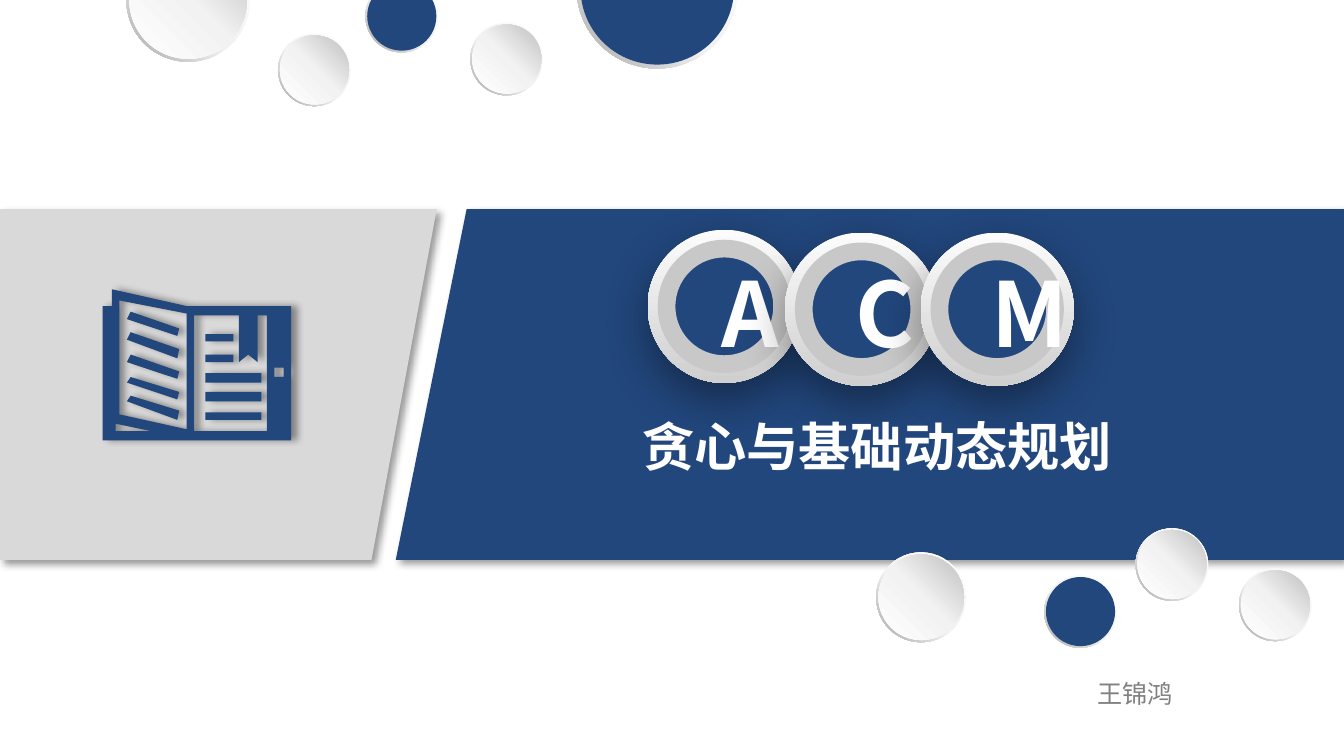
"""Build the title slide on greedy methods and basic dynamic programming."""
from dataclasses import dataclass
from typing import Any

import lxml.etree
import pptx
import pptx.dml.color
import pptx.enum.shapes
import pptx.enum.text
import pptx.oxml.ns
import pptx.util

Pt = pptx.util.Pt
RGB = pptx.dml.color.RGBColor
Kind = pptx.enum.shapes.MSO_SHAPE
Align = pptx.enum.text.PP_ALIGN
Anchor = pptx.enum.text.MSO_ANCHOR
Fit = pptx.enum.text.MSO_AUTO_SIZE
qn = pptx.oxml.ns.qn

BLUE = RGB(0x22, 0x47, 0x7D)
GRAY = RGB(0xD9, 0xD9, 0xD9)
RIM = RGB(0xC8, 0xC8, 0xC8)
WHITE = RGB(0xFF, 0xFF, 0xFF)
NAME = RGB(0x80, 0x80, 0x80)
BLACK = RGB(0, 0, 0)
SNOW = RGB(0xFC, 0xFC, 0xFC)
STEEL = RGB(0xCF, 0xCF, 0xCF)
PALE = RGB(0xF2, 0xF2, 0xF2)
SILVER = RGB(0xBF, 0xBF, 0xBF)
DARK = RGB(0xA6, 0xA6, 0xA6)
FONT = "Noto Sans CJK SC"

Path = list[tuple[float, float]]


@dataclass
class Blend:
    stops: list[tuple[int, RGB]]
    angle: int


@dataclass
class Shade:
    blur: float
    dist: float
    angle: int


@dataclass
class Bead:
    left: float
    top: float
    size: float
    blue: bool = False


@dataclass
class Medal:
    text: str
    left: float
    top: float
    inset: float


@dataclass
class Label:
    text: str
    box: tuple[float, float, float, float]
    size: float
    color: RGB
    bold: bool = True
    pad: tuple[float, float] = (7.2, 3.6)
    anchor: Any = Anchor.TOP
    grow: bool = True


METAL = Blend([(0, SNOW), (100, STEEL)], 90)
EDGE = Blend([(0, WHITE), (55, PALE), (100, DARK)], 135)
PEARL = Blend([(0, WHITE), (51, PALE), (100, SILVER)], 315)
SOFT = Shade(4, 3, 45)
FLAT = Shade(4, 3, 0)
DEEP = Shade(25, 9, 90)

MEDALS = [
    Medal("A", 347, 123.1, 32.4),
    Medal("C", 420.5, 124.6, 30.9),
    Medal("M", 493.2, 124.6, 31),
]
BEADS = [
    Bead(67.7, -33.1, 66.2),
    Bead(149, 18, 38.9),
    Bead(195.8, -10.8, 38.9, True),
    Bead(252, 12.2, 38.9),
    Bead(308.9, -49.7, 86.4, True),
    Bead(469.4, 295.9, 48.2),
    Bead(608.4, 283, 38.9),
    Bead(559.4, 308.2, 38.9, True),
    Bead(663.8, 304.6, 38.9),
]


def tag(node: Any, name: str, **attrs: Any) -> Any:
    """Append a drawing element with the given attributes."""
    return lxml.etree.SubElement(
        node, qn(f"a:{name}"), {k: str(v) for k, v in attrs.items()})


def paint(shape: Any, fill: RGB | Blend, shade: Shade | None = None) -> None:
    """Give a shape its fill, no outline, and its shadow if any."""
    shape.fill.solid()
    shape.line.fill.background()
    shape.shadow.inherit = False
    props = shape._element.spPr
    if isinstance(fill, Blend):
        grad = lxml.etree.Element(qn("a:gradFill"), rotWithShape="1")
        stops = tag(grad, "gsLst")
        for pos, color in fill.stops:
            tag(tag(stops, "gs", pos=pos * 1000), "srgbClr", val=color)
        tag(grad, "lin", ang=fill.angle * 60000, scaled=0)
        props.replace(props.find(qn("a:solidFill")), grad)
    else:
        shape.fill.fore_color.rgb = fill
    if shade:
        cast = tag(props.find(qn("a:effectLst")), "outerShdw",
                   blurRad=Pt(shade.blur), dist=Pt(shade.dist),
                   dir=shade.angle * 60000, algn="tl", rotWithShape=0)
        tag(tag(cast, "srgbClr", val=BLACK), "alpha", val=40000)


def disc(shapes: Any, kind: Any, left: float, top: float, size: float,
         fill: RGB | Blend, shade: Shade | None = None) -> Any:
    """Draw a round shape."""
    shape = shapes.add_shape(kind, Pt(left), Pt(top), Pt(size), Pt(size))
    paint(shape, fill, shade)
    return shape


def trace(shapes: Any, paths: list[Path], fill: RGB, shade: Shade) -> None:
    """Draw closed outlines as one freeform."""
    pen = shapes.build_freeform(*paths[0][0], scale=Pt(1))
    pen.add_line_segments(paths[0][1:])
    for path in paths[1:]:
        pen.move_to(*path[0])
        pen.add_line_segments(path[1:])
    paint(pen.convert_to_shape(), fill, shade)


def write(shapes: Any, label: Label) -> None:
    """Place one centred line of text."""
    box = shapes.add_textbox(*map(Pt, label.box))
    frame = box.text_frame
    frame.text = label.text
    frame.word_wrap = True
    frame.auto_size = Fit.SHAPE_TO_FIT_TEXT if label.grow else Fit.NONE
    frame.vertical_anchor = label.anchor
    frame.margin_left = frame.margin_right = Pt(label.pad[0])
    frame.margin_top = frame.margin_bottom = Pt(label.pad[1])
    para = frame.paragraphs[0]
    para.alignment = Align.CENTER
    font = para.runs[0].font
    font.name, font.size, font.bold = FONT, Pt(label.size), label.bold
    font.color.rgb = label.color
    tag(font._element, "ea", typeface=FONT)


def award(shapes: Any, medal: Medal) -> None:
    """Draw a metal medal with its letter."""
    group = shapes.add_group_shape().shapes
    disc(group, Kind.OVAL, medal.left, medal.top, 82.1, METAL, DEEP)
    core = disc(group, Kind.OVAL, medal.left + 10.1, medal.top + 10.1, 61.9, BLUE)
    core.line.color.rgb = RIM
    core.line.width = Pt(9.5)
    box = (medal.left + medal.inset, 134.6, 21.6, 65.5)
    write(shapes, Label(medal.text, box, 48, WHITE))


def string(shapes: Any, bead: Bead) -> None:
    """Draw a bead inside its thin ring."""
    group = shapes.add_group_shape().shapes
    ring = disc(group, Kind.DONUT, bead.left, bead.top, bead.size, EDGE)
    ring.adjustments[0] = 0.05
    gap = bead.size / 42
    disc(group, Kind.OVAL, bead.left + gap, bead.top + gap,
         bead.size - 2 * gap, BLUE if bead.blue else PEARL)


def rect(left: float, top: float, width: float, height: float) -> Path:
    """Return the corners of a rectangle."""
    right, base = left + width, top + height
    return [(left, top), (right, top), (right, base), (left, base)]


def book() -> list[Path]:
    """Return the outlines of the open book."""
    cover = [(156.2, 164.2), (156.2, 236.2), (55.4, 236.2), (55.4, 164.2),
             (59.8, 164.2), (59.8, 154.8), (100.1, 164.2)]
    verso = [(64.1, 160.6), (64.1, 222.5), (100.1, 230.4), (100.1, 168.5)]
    fold = [(80.6, 231.1), (61.9, 226.8), (61.9, 231.1)]
    recto = [(104.4, 231.1), (143.3, 231.1), (143.3, 169.2), (138.2, 169.2),
             (138.2, 194.4), (133.2, 190.1), (128.2, 194.4), (128.2, 169.2),
             (104.4, 169.2)]
    rows = [rect(110.2, y, 15.1, 4.3) for y in (178.6, 190.1)]
    rows += [rect(110.2, y, 29.5, 4.5) for y in (200.2, 210.4, 220.8)]
    bars = [[(96.5, y), (69.8, y - 8.7), (68.4, y - 5.1), (95, y + 4.3)]
            for y in (175.7, 187.2, 198.7, 210.2, 220.3)]
    return [cover, verso, fold, recto, rect(146.9, 197.3, 5, 5), *rows, *bars]


def main() -> None:
    """Build and save the slide."""
    deck = pptx.Presentation()
    deck.slide_width, deck.slide_height = Pt(720), Pt(405)
    shapes = deck.slides.add_slide(deck.slide_layouts[6]).shapes
    trace(shapes, [[(0, 112.3), (234, 111.6), (198.7, 300.2), (0, 300.2)]], GRAY, SOFT)
    trace(shapes, [[(249.8, 112.3), (720, 112.3), (720, 299.5), (212.4, 299.5)]], BLUE, SOFT)
    for medal in MEDALS:
        award(shapes, medal)
    write(shapes, Label("贪心与基础动态规划", (248.4, 221.8, 442.8, 33.8), 28, WHITE, pad=(0, 0)))
    write(shapes, Label("王锦鸿", (534.2, 352.1, 147.6, 38.9), 13.5, NAME, False,
                        (5, 2.9), Anchor.MIDDLE, False))
    trace(shapes, book(), BLUE, FLAT)
    for bead in BEADS:
        string(shapes, bead)
    deck.save("out.pptx")


if __name__ == "__main__":
    main()
